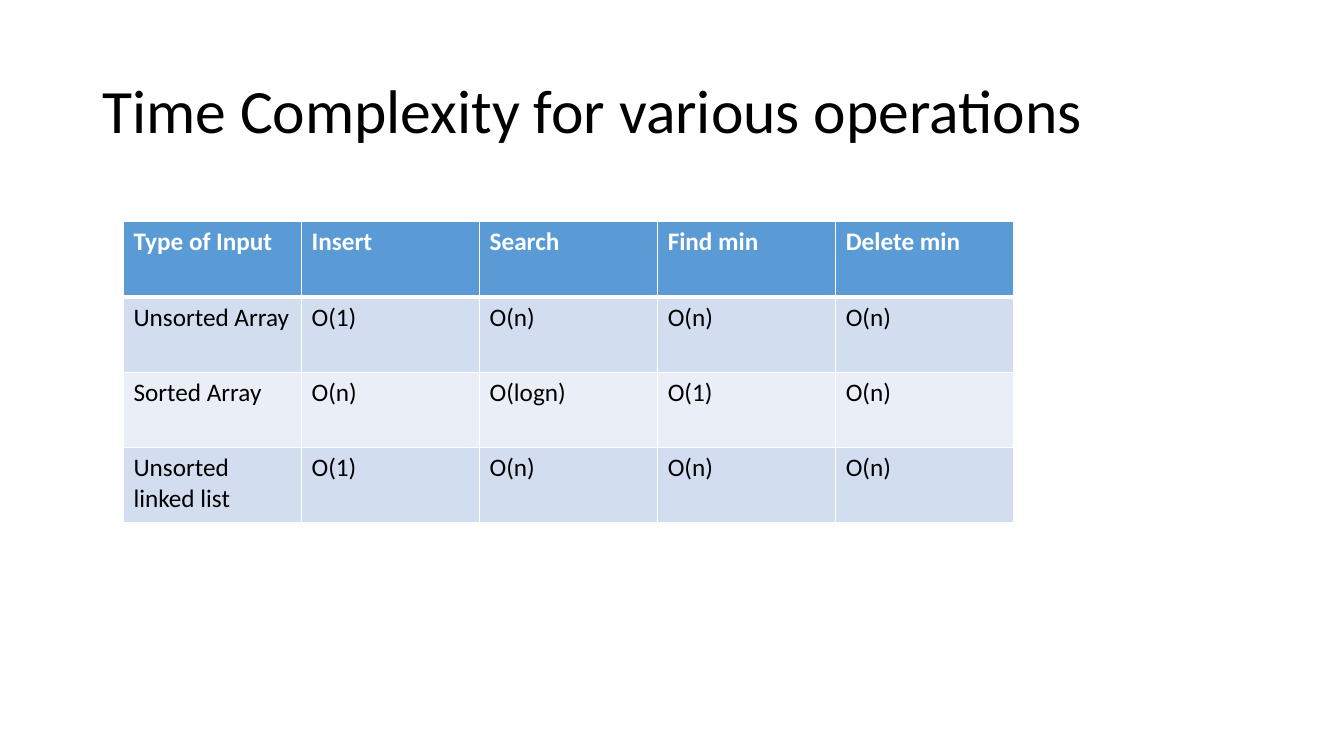
from lxml import etree
from pptx import Presentation
from pptx.dml.color import RGBColor
from pptx.enum import text
from pptx.oxml import ns
from pptx.util import Pt

BLACK = RGBColor(0x00, 0x00, 0x00)
WHITE = RGBColor(0xFF, 0xFF, 0xFF)
HEADER_BLUE = RGBColor(0x5B, 0x9B, 0xD5)
BAND_DARK = RGBColor(0xD2, 0xDE, 0xEF)
BAND_LIGHT = RGBColor(0xEA, 0xEF, 0xF7)
FONT = "Calibri"

COMPLEXITIES = [
    ["Type of Input", "Insert", "Search", "Find min", "Delete min"],
    ["Unsorted Array", "O(1)", "O(n)", "O(n)", "O(n)"],
    ["Sorted Array", "O(n)", "O(logn)", "O(1)", "O(n)"],
    ["Unsorted linked list", "O(1)", "O(n)", "O(n)", "O(n)"],
]
COLUMN_WIDTH = 127.2
ROW_HEIGHT = 53.8


def set_font(paragraph, size, color, bold=False):
    paragraph.font.name = FONT
    paragraph.font.size = Pt(size)
    paragraph.font.bold = bold
    paragraph.font.color.rgb = color


def add_border(cell, side, width):
    """Draw a white line on one side (L, R, T or B) of a cell; call before filling it."""
    line = etree.SubElement(cell._tc.get_or_add_tcPr(), ns.qn(f"a:ln{side}"), w=str(Pt(width)))
    fill = etree.SubElement(line, ns.qn("a:solidFill"))
    etree.SubElement(fill, ns.qn("a:srgbClr"), val=str(WHITE))


presentation = Presentation()
presentation.slide_width = Pt(960)
presentation.slide_height = Pt(540)
slide = presentation.slides.add_slide(presentation.slide_layouts[6])

title = slide.shapes.add_textbox(Pt(66), Pt(28.75), Pt(828), Pt(104.4))
title.text_frame.word_wrap = True
title.text_frame.vertical_anchor = text.MSO_ANCHOR.MIDDLE
heading = title.text_frame.paragraphs[0]
heading.text = "Time Complexity for various operations"
heading.line_spacing = 0.9
set_font(heading, 44, BLACK)

row_count, column_count = len(COMPLEXITIES), len(COMPLEXITIES[0])
table = slide.shapes.add_table(
    row_count, column_count, Pt(88.2), Pt(158.4),
    Pt(COLUMN_WIDTH * column_count), Pt(ROW_HEIGHT * row_count),
).table
for column in table.columns:
    column.width = Pt(COLUMN_WIDTH)

for row_index, values in enumerate(COMPLEXITIES):
    table.rows[row_index].height = Pt(ROW_HEIGHT)
    is_header = row_index == 0
    if is_header:
        fill_color = HEADER_BLUE
    else:
        fill_color = BAND_DARK if row_index % 2 else BAND_LIGHT
    border_widths = {
        "L": 1,
        "R": 1,
        "T": 3 if row_index == 1 else 1,
        "B": 3 if is_header else 1,
    }
    for column_index, value in enumerate(values):
        cell = table.cell(row_index, column_index)
        for side, width in border_widths.items():
            add_border(cell, side, width)
        cell.fill.solid()
        cell.fill.fore_color.rgb = fill_color
        cell.text = value
        set_font(cell.text_frame.paragraphs[0], 18, WHITE if is_header else BLACK, is_header)

presentation.save("out.pptx")
